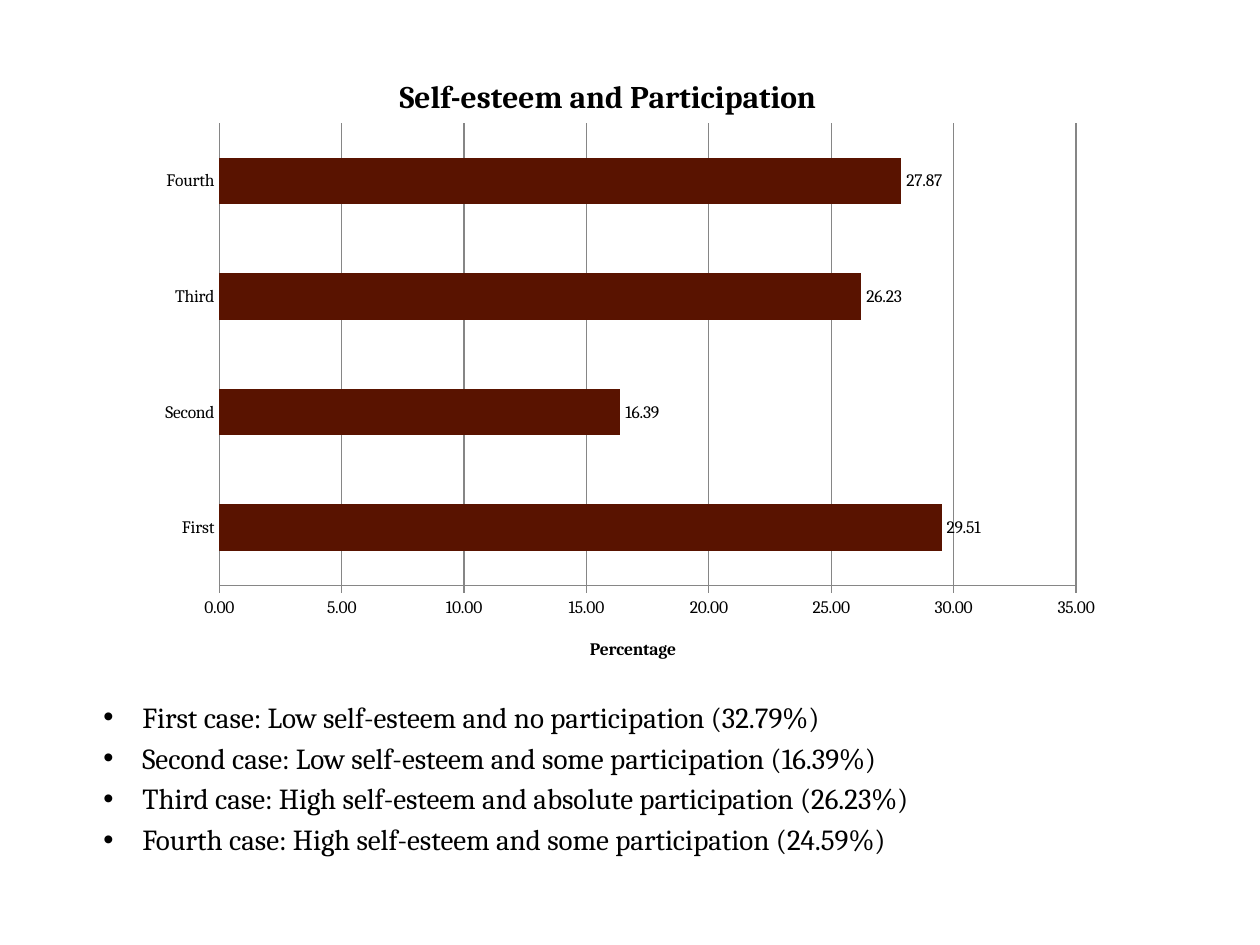
from lxml import etree
from pptx import Presentation
from pptx.chart.data import CategoryChartData
from pptx.dml.color import RGBColor
from pptx.enum.chart import XL_CHART_TYPE, XL_LABEL_POSITION, XL_TICK_MARK
from pptx.oxml import parse_xml
from pptx.oxml.ns import nsdecls, qn
from pptx.util import Emu, Pt

BAR = XL_CHART_TYPE.BAR_CLUSTERED
OUTSIDE_END = XL_LABEL_POSITION.OUTSIDE_END
TICK_NONE, TICK_OUT = XL_TICK_MARK.NONE, XL_TICK_MARK.OUTSIDE
FONT, BLACK, GRAY, MAROON = "Cambria", "000000", "868686", "591300"

CASES = {"First": 29.51, "Second": 16.39, "Third": 26.23, "Fourth": 27.87}
NOTES = [
    "First case: Low self-esteem and no participation (32.79%)",
    "Second case: Low self-esteem and some participation (16.39%)",
    "Third case: High self-esteem and absolute participation (26.23%)",
    "Fourth case: High self-esteem and some participation (24.59%)",
]


def px(length):
    return Emu(round(length * 914400 / 126))


def color(value):
    return RGBColor.from_string(value)


def style_font(font, size, bold=False):
    font.name, font.size, font.bold = FONT, Pt(size), bold
    font.color.rgb = color(BLACK)


def write(para, text, size, bold=False):
    span = para.add_run()
    span.text = text
    style_font(span.font, size, bold)


def set_layout(parent, inner=False, **fractions):
    for old in parent.findall(qn("c:layout")):
        parent.remove(old)
    target = '<c:layoutTarget val="inner"/>' if inner else ""
    modes = "".join(f'<c:{key}Mode val="edge"/>' for key in "xy")
    places = "".join(f'<c:{key} val="{value}"/>' for key, value in fractions.items())
    layout = parse_xml(f'<c:layout {nsdecls("c")}><c:manualLayout>'
                       f"{target}{modes}{places}</c:manualLayout></c:layout>")
    text = parent.find(qn("c:tx"))
    if text is None:
        parent.insert(0, layout)
    else:
        text.addnext(layout)


def write_title(title, text, size, x, y):
    write(title.text_frame.paragraphs[0], text, size, bold=True)
    set_layout(title._element, x=x, y=y)


def style_line(line):
    line.color.rgb = color(GRAY)
    line.width = Pt(0.75)


def add_case_chart(page, left, top, width, height):
    data = CategoryChartData(number_format="0.00")
    data.categories = list(CASES)
    data.add_series("Series 1", list(CASES.values()))
    chart = page.shapes.add_chart(BAR, px(left), px(top), px(width), px(height), data).chart
    style_font(chart.font, 10)
    chart.has_legend = False
    chart.has_title = True
    write_title(chart.chart_title, "Self-esteem and Participation", 18, x=0.28, y=0.06)
    set_layout(chart._chartSpace.chart.plotArea, inner=True, x=0.117, y=0.144, w=0.8, h=0.729)

    plot = chart.plots[0]
    plot.gap_width, plot.overlap, plot.vary_by_categories = 150, -25, False
    fill = plot.series[0].format.fill
    fill.solid()
    fill.fore_color.rgb = color(MAROON)
    plot.has_data_labels = True
    labels = plot.data_labels
    labels.show_value, labels.position = True, OUTSIDE_END
    labels.number_format, labels.number_format_is_linked = "0.00", False
    style_font(labels.font, 10)

    cases, values = chart.category_axis, chart.value_axis
    cases.major_tick_mark, values.major_tick_mark = TICK_NONE, TICK_OUT
    values.minimum_scale, values.maximum_scale, values.major_unit = 0, 35, 5
    values.has_major_gridlines = True
    values.tick_labels.number_format = "0.00"
    values.tick_labels.number_format_is_linked = False
    for line in (cases.format.line, values.format.line, values.major_gridlines.format.line):
        style_line(line)
    write_title(values.axis_title, "Percentage", 10, x=0.46, y=0.95)


def add_case_notes(page, left, top, width, height):
    frame = page.shapes.add_textbox(px(left), px(top), px(width), px(height)).text_frame
    frame.word_wrap = True
    for index, note in enumerate(NOTES):
        para = frame.add_paragraph() if index else frame.paragraphs[0]
        para.space_before = Pt(3.4)
        write(para, note, 16.6)
        props = para._p.get_or_add_pPr()
        props.set("marL", str(px(39)))
        props.set("indent", str(px(-39)))
        etree.SubElement(props, qn("a:buFont")).set("typeface", "Arial")
        etree.SubElement(props, qn("a:buChar")).set("char", "•")


def main():
    deck = Presentation()
    deck.slide_width, deck.slide_height = px(1260), px(945)
    page = deck.slides.add_slide(deck.slide_layouts[6])
    add_case_chart(page, 94, 32, 1071, 634)
    add_case_notes(page, 91, 693, 1130, 179)
    deck.save("out.pptx")


if __name__ == "__main__":
    main()
